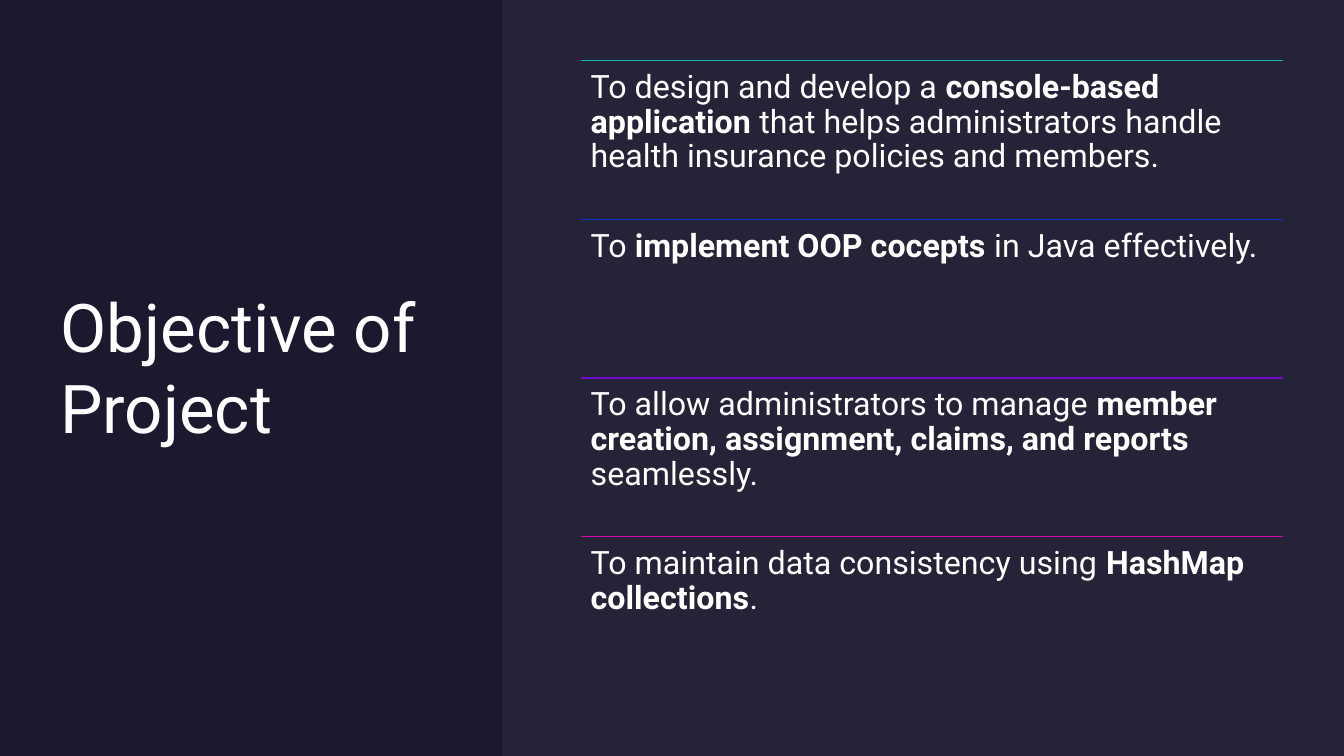
from lxml import etree
from pptx import Presentation
from pptx.dml.color import RGBColor
from pptx.enum.shapes import MSO_CONNECTOR, MSO_SHAPE
from pptx.enum.text import MSO_ANCHOR, PP_ALIGN
from pptx.oxml.ns import qn
from pptx.util import Inches, Pt

RECTANGLE = MSO_SHAPE.RECTANGLE
STRAIGHT = MSO_CONNECTOR.STRAIGHT
TOP = MSO_ANCHOR.TOP
MIDDLE = MSO_ANCHOR.MIDDLE
LEFT = PP_ALIGN.LEFT

WIDTH, HEIGHT = 13.33, 7.5
COLUMN, ROW = 0.12, 0.1
COLUMNS, ROWS = WIDTH / COLUMN, HEIGHT / ROW

OBJECTIVES = [
    ("12B1BF", "To design and develop a ", "console-based application",
     " that helps administrators handle health insurance policies and members."),
    ("0F35C6", "To ", "implement OOP cocepts", " in Java effectively."),
    ("6E0DCD", "To allow administrators to manage ",
     "member creation, assignment, claims, and reports", " seamlessly."),
    ("D40AA8", "To maintain data consistency using ", "HashMap collections", "."),
]


def colour(value):
    return RGBColor.from_string(value)


def apply(target, values):
    for name, value in values.items():
        setattr(target, name, value)


class SlideBuilder:
    font_name = "Roboto"
    text_colour = "FFFFFF"
    background = "1B192E"

    def __init__(self, presentation):
        self.slide = presentation.slides.add_slide(presentation.slide_layouts[6])
        fill = self.slide.background.fill
        fill.solid()
        fill.fore_color.rgb = colour(self.background)

    def place(self, column, row, columns, rows):
        return (Inches(column * COLUMN), Inches(row * ROW),
                Inches(columns * COLUMN), Inches(rows * ROW))

    def panel(self, area, fill_colour, opacity=100):
        shape = self.slide.shapes.add_shape(RECTANGLE, *self.place(*area))
        shape.shadow.inherit = False
        shape.line.fill.background()
        shape.fill.solid()
        shape.fill.fore_color.rgb = colour(fill_colour)
        if opacity < 100:
            tone = shape.fill._xPr.find(qn("a:solidFill"))[0]
            etree.SubElement(tone, qn("a:alpha"), val=str(opacity * 1000))

    def rule(self, column, row, columns, line_colour):
        left, top, width, _ = self.place(column, row, columns, 0)
        line = self.slide.shapes.add_connector(STRAIGHT, left, top, left + width, top)
        line.line.color.rgb = colour(line_colour)
        line.line.width = Pt(1)
        etree.SubElement(line._element.spPr, qn("a:effectLst"))

    def text(self, area, runs, size, inset=0, anchor=TOP, spacing=1.0):
        frame = self.slide.shapes.add_textbox(*self.place(*area)).text_frame
        margin = Inches(inset)
        apply(frame, {"word_wrap": True, "vertical_anchor": anchor,
                      "margin_left": margin, "margin_right": margin,
                      "margin_top": margin, "margin_bottom": margin})
        paragraph = frame.paragraphs[0]
        apply(paragraph, {"alignment": LEFT, "line_spacing": spacing})
        for wording, bold in runs:
            run = paragraph.add_run()
            run.text = wording
            apply(run.font, {"name": self.font_name, "size": Pt(size), "bold": bold})
            run.font.color.rgb = colour(self.text_colour)

    def objective(self, column, row, columns, rows, line_colour, wording):
        lead, emphasis, rest = wording
        self.rule(column, row, columns, line_colour)
        self.text((column, row, columns, rows),
                  [(lead, False), (emphasis, True), (rest, False)],
                  size=23, inset=0.1, spacing=0.9)


def main():
    presentation = Presentation()
    apply(presentation, {"slide_width": Inches(WIDTH), "slide_height": Inches(HEIGHT)})
    builder = SlideBuilder(presentation)

    builder.panel((0, 0, COLUMNS, ROWS), builder.background)
    builder.text((5, 6, 32.5, 60.6), [("Objective of Project", False)],
                 size=48, anchor=MIDDLE)
    panel_column = 41.5
    builder.panel((panel_column, 0, COLUMNS - panel_column, ROWS), "E4E3F0", opacity=5)

    first_row, step = 6, 15.75
    for index, (line_colour, *wording) in enumerate(OBJECTIVES):
        builder.objective(48, first_row + index * step, 58.08, step, line_colour, wording)

    presentation.save("out.pptx")


if __name__ == "__main__":
    main()
